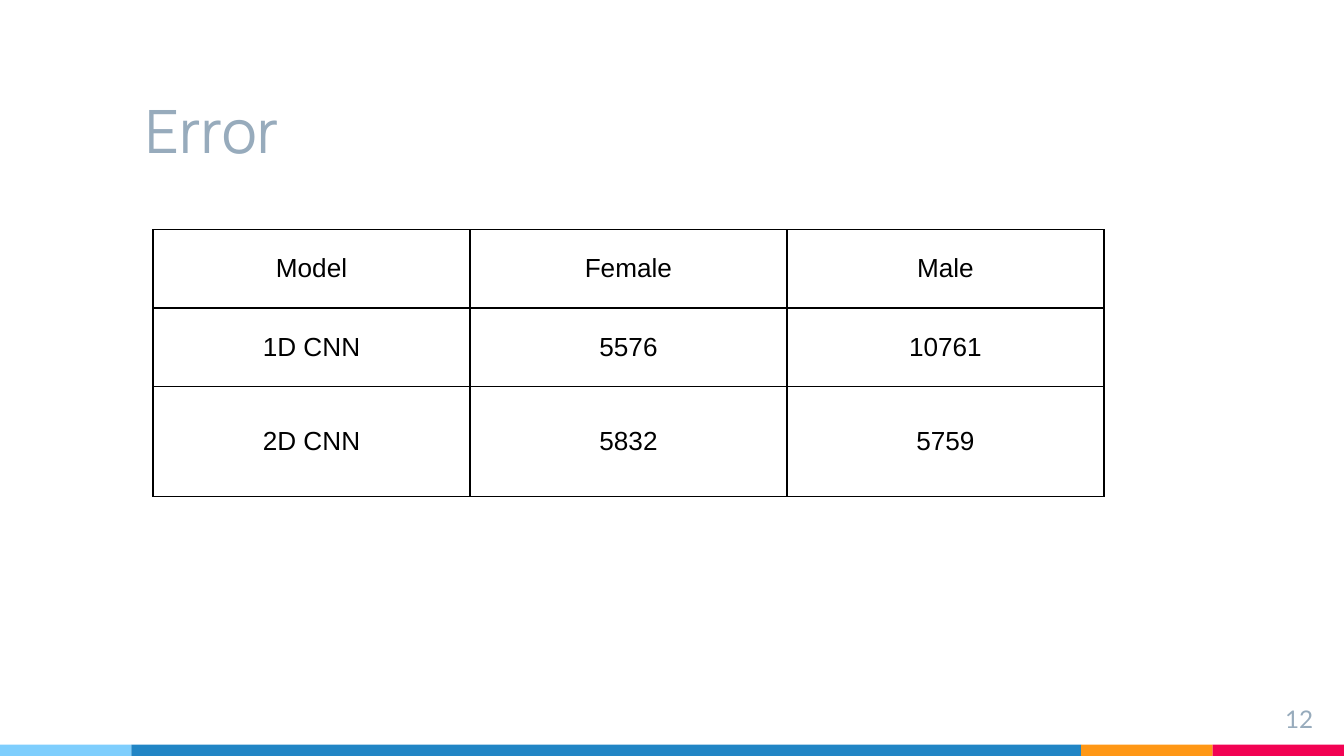
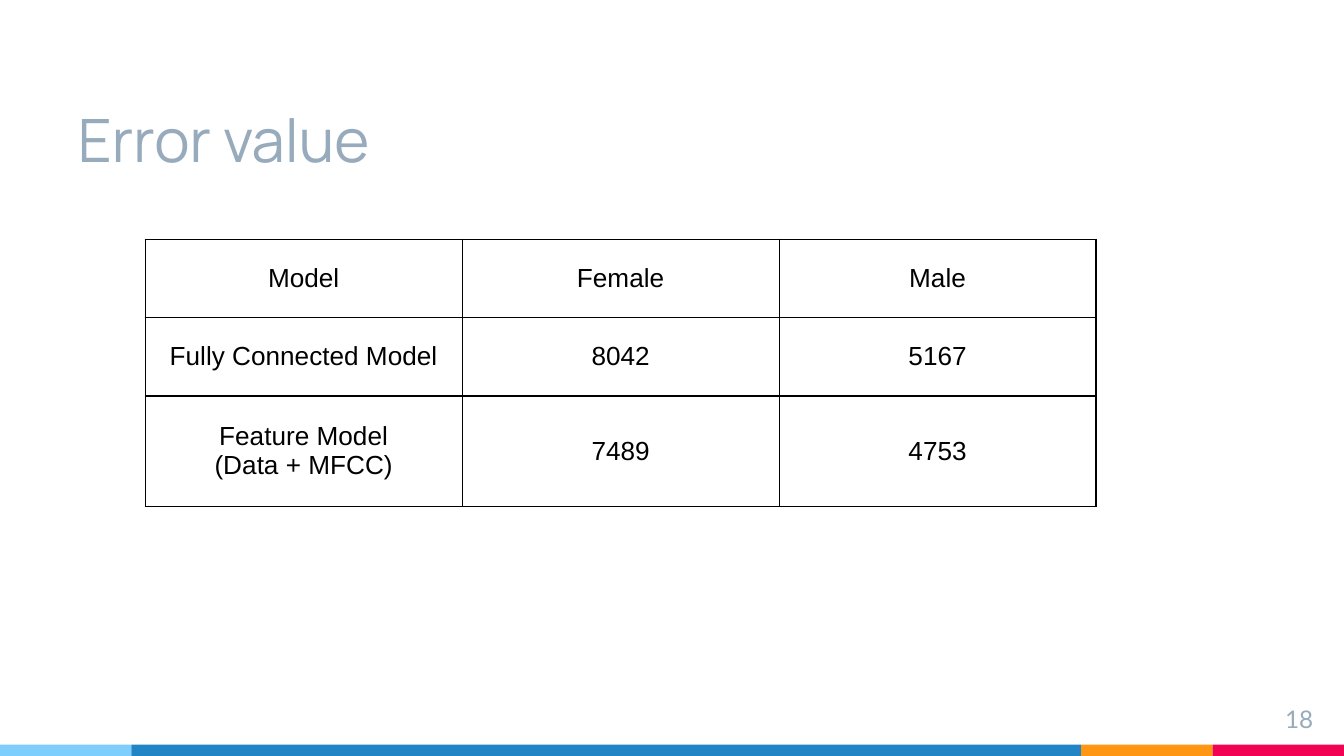
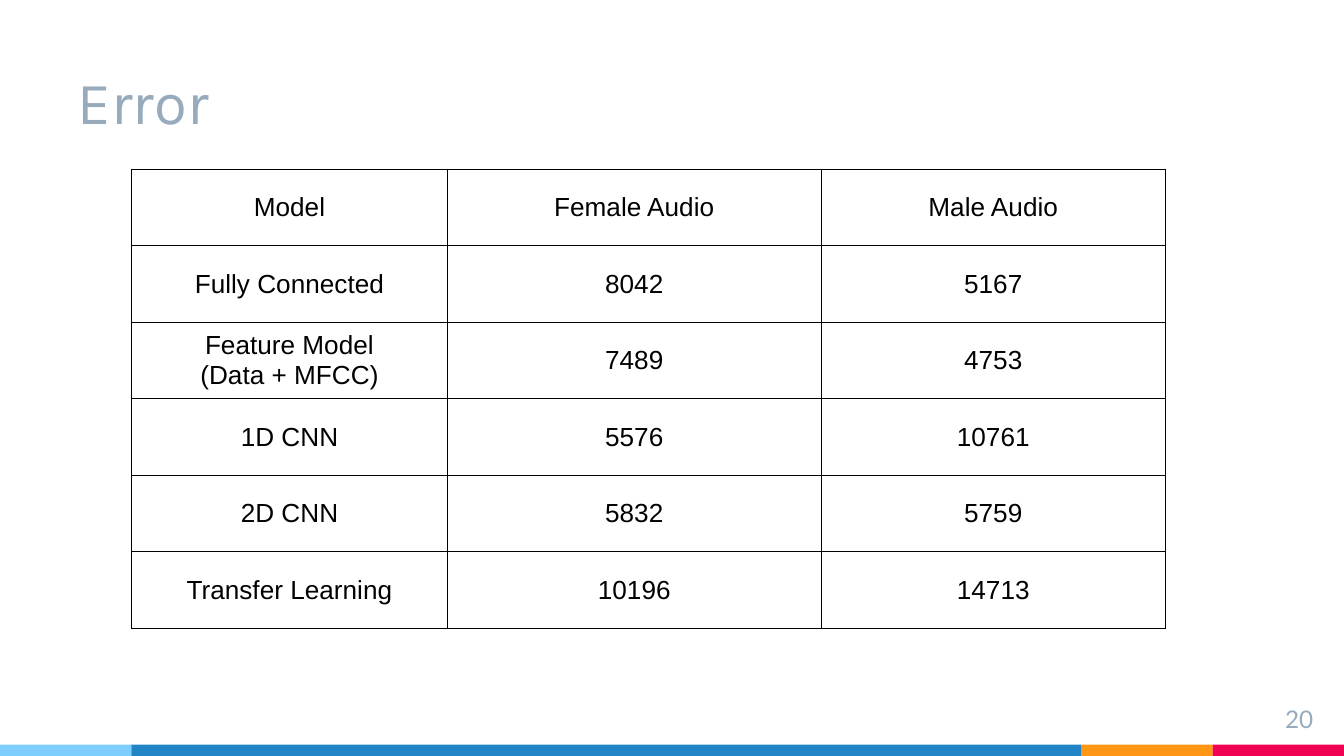
from lxml import etree
from pptx import Presentation
from pptx.dml import color
from pptx.enum import shapes, text
from pptx.oxml import ns
from pptx.util import Pt

WIDTH, HEIGHT = 720, 405
TITLE_ONLY = 5
BAND_TOP, STRIPE = 399, 70.4
BAND = [
    ("7ECEFD", STRIPE),
    ("2185C5", WIDTH - 3 * STRIPE),
    ("FF9715", STRIPE),
    ("F20253", STRIPE),
]
MUTED, INK = "97ABBC", "000000"


def rgb(value):
    return color.RGBColor.from_string(value)


def style_paragraph(para, font, size, tint, align):
    para.alignment = align
    para.font.name = font
    para.font.size = Pt(size)
    para.font.color.rgb = rgb(tint)


def set_margins(frame, margin):
    frame.margin_left = frame.margin_right = Pt(margin)
    frame.margin_top = frame.margin_bottom = Pt(margin)


def outline_cell(cell, tint, width):
    """Draw a solid border on all four sides of a table cell."""
    properties = cell._tc.get_or_add_tcPr()
    for side in ("lnL", "lnR", "lnT", "lnB"):
        line = etree.SubElement(properties, ns.qn(f"a:{side}"), w=str(Pt(width)))
        fill = etree.SubElement(line, ns.qn("a:solidFill"))
        etree.SubElement(fill, ns.qn("a:srgbClr"), val=tint)


class Deck:
    def __init__(self):
        self.deck = Presentation()
        self.deck.slide_width, self.deck.slide_height = Pt(WIDTH), Pt(HEIGHT)
        self.page = None

    def start_page(self, number):
        self.page = self.deck.slides.add_slide(self.deck.slide_layouts[TITLE_ONLY])
        self.band()
        self.page_number(number)

    def band(self):
        left = 0
        for tint, width in BAND:
            stripe = self.page.shapes.add_shape(
                shapes.MSO_SHAPE.RECTANGLE,
                Pt(left), Pt(BAND_TOP), Pt(width), Pt(HEIGHT - BAND_TOP))
            stripe.shadow.inherit = False
            stripe.fill.solid()
            stripe.fill.fore_color.rgb = rgb(tint)
            stripe.line.fill.background()
            left += width

    def page_number(self, number):
        box = self.page.shapes.add_textbox(Pt(667.5), Pt(370), Pt(43), Pt(24.5))
        frame = box.text_frame
        frame.word_wrap = True
        set_margins(frame, 7.2)
        frame.text = str(number)
        style_paragraph(frame.paragraphs[0], "Lato", 13, MUTED, text.PP_ALIGN.RIGHT)

    def title(self, wording, left, top, width, height, font="Manrope"):
        box = self.page.shapes.title
        box.left, box.top = Pt(left), Pt(top)
        box.width, box.height = Pt(width), Pt(height)
        frame = box.text_frame
        frame.text = wording
        frame.auto_size = text.MSO_AUTO_SIZE.NONE
        frame.vertical_anchor = text.MSO_ANCHOR.BOTTOM
        set_margins(frame, 7.2)
        style_paragraph(frame.paragraphs[0], font, 32, MUTED, text.PP_ALIGN.LEFT)

    def table(self, left, top, widths, heights, rows):
        table = self.page.shapes.add_table(
            len(heights), len(widths),
            Pt(left), Pt(top), Pt(sum(widths)), Pt(sum(heights))).table
        table.first_row = table.horz_banding = False
        for column, width in zip(table.columns, widths):
            column.width = Pt(width)
        for row, height, values in zip(table.rows, heights, rows):
            row.height = Pt(height)
            for cell, value in zip(row.cells, values):
                self.fill_cell(cell, value)

    def fill_cell(self, cell, value):
        cell.text = str(value)
        cell.vertical_anchor = text.MSO_ANCHOR.MIDDLE
        outline_cell(cell, INK, 0.75)
        cell.fill.background()
        for para in cell.text_frame.paragraphs:
            style_paragraph(para, "Arial", 14, INK, text.PP_ALIGN.CENTER)


def main():
    show = Deck()
    header = ("Model", "Female", "Male")
    feature = ("Feature Model\n(Data + MFCC)", 7489, 4753)
    cnn_1d = ("1D CNN", 5576, 10761)
    cnn_2d = ("2D CNN", 5832, 5759)
    small_widths, small_heights = [169.8] * 3, [42, 42, 59]

    show.start_page(12)
    show.title("Error", 70.5, 28, 509, 67.7)
    show.table(82, 123, small_widths, small_heights, [header, cnn_1d, cnn_2d])

    show.start_page(18)
    show.title("Error value", 34.5, 41, 515, 59.8)
    show.table(77.8, 128.2, small_widths, small_heights,
               [header, ("Fully Connected Model", 8042, 5167), feature])

    show.start_page(20)
    show.title("Error", 34.5, 25.2, 509, 55.4, font="Karla")
    show.table(70.5, 90.7, [169.2, 200.2, 184.5], [41] * 6, [
        ("Model", "Female Audio", "Male Audio"),
        ("Fully Connected", 8042, 5167),
        feature,
        cnn_1d,
        cnn_2d,
        ("Transfer Learning", 10196, 14713),
    ])

    show.deck.save("out.pptx")


if __name__ == "__main__":
    main()
